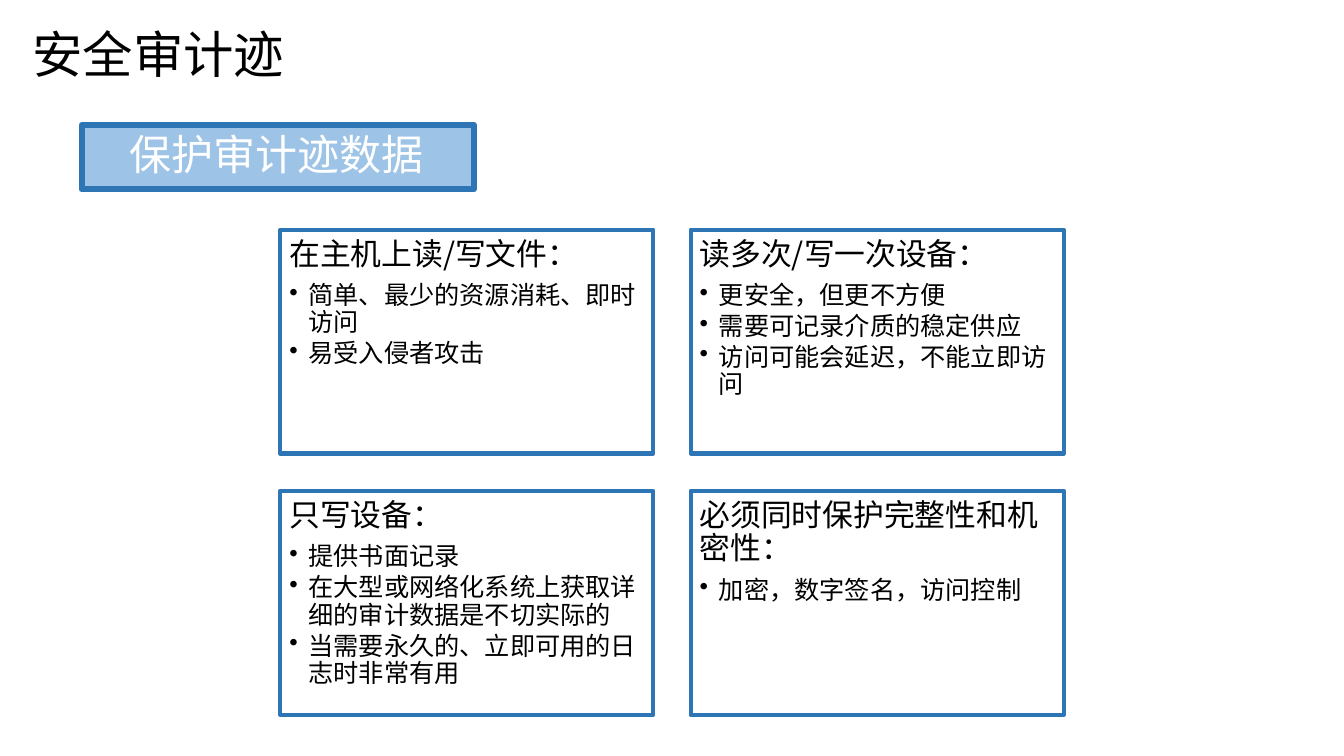
from lxml import etree
from pptx import Presentation, util as u
from pptx.dml.color import RGBColor
from pptx.enum import shapes, text
from pptx.oxml.ns import qn

# Content
TITLE = "安全审计迹"
BANNER = "保护审计迹数据"
CARDS = [
    ("在主机上读/写文件：", ["简单、最少的资源消耗、即时访问", "易受入侵者攻击"]),
    ("读多次/写一次设备：", ["更安全，但更不方便", "需要可记录介质的稳定供应",
                    "访问可能会延迟，不能立即访问"]),
    ("只写设备：", ["提供书面记录", "在大型或网络化系统上获取详细的审计数据是不切实际的",
               "当需要永久的、立即可用的日志时非常有用"]),
    ("必须同时保护完整性和机密性：", ["加密，数字签名，访问控制"]),
]

# Format
FONT = "Noto Sans CJK SC"
BLACK, WHITE, BLUE, PALE = "000000", "FFFFFF", "2E75B6", "9DC3E6"
WIDTH, HEIGHT = 13.33, 7.5
COLUMNS = 2
CARD_W, CARD_H, GAP = 3.7, 2.22, 0.37
GRID_LEFT, GRID_TOP = 2.78, 2.28
INDENT = 0.19


def color(value):
    return RGBColor.from_string(value)


def set_frame(sp, margins, anchor):
    tf = sp.text_frame
    sides = ("margin_left", "margin_top", "margin_right", "margin_bottom")
    formats = dict(zip(sides, map(u.Inches, margins)))
    formats.update(word_wrap=True, vertical_anchor=anchor)
    for name, value in formats.items():
        setattr(tf, name, value)
    return tf


def write(p, words, size, ink, bullet=False, **spacing):
    p.alignment = text.PP_ALIGN.LEFT
    for name, value in spacing.items():
        setattr(p, name, value)
    if bullet:
        p.level = 1
        pPr = p._p.get_or_add_pPr()
        pPr.set("marL", str(u.Inches(INDENT)))
        pPr.set("indent", str(-u.Inches(INDENT)))
        etree.SubElement(pPr, qn("a:buChar"), char="•")
    r = p.add_run()
    r.text = words
    for name, value in dict(size=u.Pt(size), name=FONT).items():
        setattr(r.font, name, value)
    r.font.color.rgb = color(ink)
    etree.SubElement(r._r.get_or_add_rPr(), qn("a:ea"), typeface=FONT)


def add_box(s, area, line_width, fill=None):
    sp = s.shapes.add_shape(shapes.MSO_SHAPE.RECTANGLE, *map(u.Inches, area))
    sp.shadow.inherit = False
    if fill:
        sp.fill.solid()
        sp.fill.fore_color.rgb = color(fill)
    else:
        sp.fill.background()
    sp.line.color.rgb = color(BLUE)
    sp.line.width = u.Pt(line_width)
    etree.SubElement(sp.line._get_or_add_ln(), qn("a:round"))
    return sp


def main():
    prs = Presentation()
    prs.slide_width, prs.slide_height = u.Inches(WIDTH), u.Inches(HEIGHT)
    s = prs.slides.add_slide(prs.slide_layouts[6])

    # Title
    title = s.shapes.add_textbox(*map(u.Inches, (0.21, 0, 5.91, 1.06)))
    tf = set_frame(title, (0.11, 0.06, 0.11, 0.06), text.MSO_ANCHOR.MIDDLE)
    write(tf.paragraphs[0], TITLE, 36, BLACK)

    # Banner
    banner = add_box(s, (0.81, 1.24, 3.89, 0.64), 4.33, PALE)
    tf = set_frame(banner, (0.47, 0, 0.47, 0), text.MSO_ANCHOR.MIDDLE)
    write(tf.paragraphs[0], BANNER, 30, WHITE, line_spacing=0.9)

    # Grid of cards
    for i, (heading, points) in enumerate(CARDS):
        row, column = divmod(i, COLUMNS)
        left = GRID_LEFT + column * (CARD_W + GAP)
        top = GRID_TOP + row * (CARD_H + GAP)
        card = add_box(s, (left, top, CARD_W, CARD_H), 3)
        tf = set_frame(card, (0.09,) * 4, text.MSO_ANCHOR.TOP)
        write(tf.paragraphs[0], heading, 22, BLACK,
              line_spacing=0.9, space_after=u.Pt(7.7))
        for point in points:
            write(tf.add_paragraph(), point, 18, BLACK, bullet=True,
                  line_spacing=0.9, space_after=u.Pt(2.7))

    prs.save("out.pptx")


if __name__ == "__main__":
    main()
